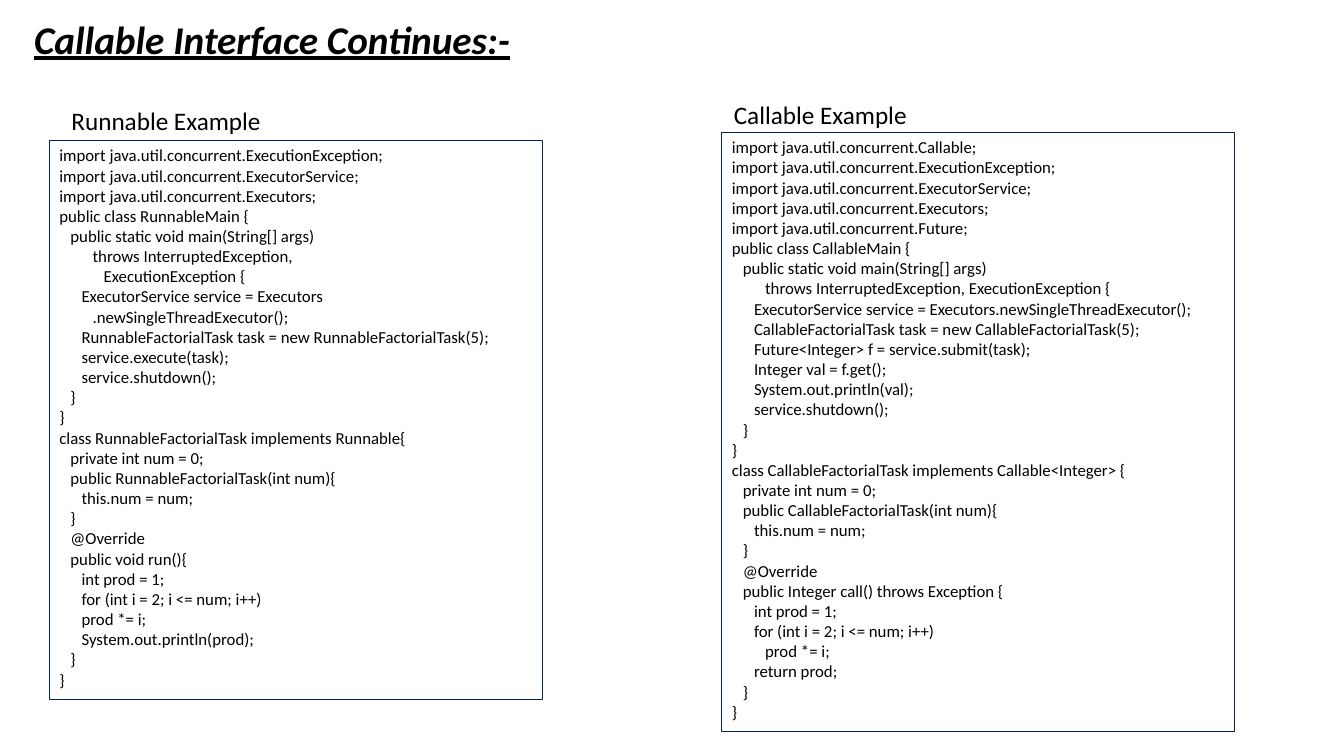
from pptx import Presentation
from pptx import util as u
from pptx.dml.color import RGBColor
from pptx.enum import shapes, text

BLACK = RGBColor(0x00, 0x00, 0x00)
NAVY = RGBColor(0x00, 0x20, 0x60)

CODE = {"size": u.Pt(12), "name": "Calibri"}
LABEL = {"size": u.Pt(18), "name": "Calibri"}
TITLE = {"size": u.Pt(28), "name": "Calibri",
         "bold": True, "italic": True, "underline": True}

TAB = 3            # spaces per code level
LEVEL = 0.11       # inches per code level
LINE = 0.2         # inches per code line
PAD = 0.15         # top and bottom insets together

RUNNABLE_MAIN = """\
import java.util.concurrent.ExecutionException;
import java.util.concurrent.ExecutorService;
import java.util.concurrent.Executors;
public class RunnableMain {
   public static void main(String[] args)
         throws InterruptedException,
            ExecutionException {
      ExecutorService service = Executors
         .newSingleThreadExecutor();
      RunnableFactorialTask task = new RunnableFactorialTask(5);
      service.execute(task);
      service.shutdown();
   }
}"""

CALLABLE_MAIN = """\
import java.util.concurrent.Callable;
import java.util.concurrent.ExecutionException;
import java.util.concurrent.ExecutorService;
import java.util.concurrent.Executors;
import java.util.concurrent.Future;
public class CallableMain {
   public static void main(String[] args)
         throws InterruptedException, ExecutionException {
      ExecutorService service = Executors.newSingleThreadExecutor();
      CallableFactorialTask task = new CallableFactorialTask(5);
      Future<Integer> f = service.submit(task);
      Integer val = f.get();
      System.out.println(val);
      service.shutdown();
   }
}"""

# Factorial task class shared by both listings
TASK = """\
class {kind}FactorialTask implements {parent}{{
   private int num = 0;
   public {kind}FactorialTask(int num){{
      this.num = num;
   }}
   @Override
   public {method}{{
      int prod = 1;
      for (int i = 2; i <= num; i++)
{step}
      {result}
   }}
}}"""

RUNNABLE_TASK = TASK.format(
    kind="Runnable", parent="Runnable", method="void run()",
    step="      prod *= i;", result="System.out.println(prod);")
CALLABLE_TASK = TASK.format(
    kind="Callable", parent="Callable<Integer> ",
    method="Integer call() throws Exception ",
    step="         prod *= i;", result="return prod;")


def write(tf, lines, fmt):
    """Fill a text frame, turning leading spaces into paragraph indents."""
    tf.word_wrap = True
    tf.auto_size = text.MSO_AUTO_SIZE.SHAPE_TO_FIT_TEXT
    for i, line in enumerate(lines):
        p = tf.paragraphs[0] if i == 0 else tf.add_paragraph()
        p.alignment = text.PP_ALIGN.LEFT
        words = line.lstrip()
        depth = (len(line) - len(words)) // TAB
        if depth:
            p._p.get_or_add_pPr().set("marL", str(u.Inches(depth * LEVEL)))
        r = p.add_run()
        r.text = words
        r.font.color.rgb = BLACK
        for key, value in fmt.items():
            setattr(r.font, key, value)


def add_text(s, x, y, w, h, words, fmt):
    sp = s.shapes.add_textbox(*map(u.Inches, (x, y, w, h)))
    write(sp.text_frame, [words], fmt)


def add_example(s, x, y, w, label, label_dx, label_dy, *parts):
    """A framed code listing with its label above the frame."""
    lines = [line for part in parts for line in part.splitlines()]
    h = len(lines) * LINE + PAD
    sp = s.shapes.add_shape(shapes.MSO_SHAPE.RECTANGLE,
                            *map(u.Inches, (x, y, w, h)))
    sp.shadow.inherit = False
    sp.fill.background()
    sp.line.color.rgb = NAVY
    sp.line.width = u.Pt(0.75)
    sp.text_frame.vertical_anchor = text.MSO_ANCHOR.TOP
    write(sp.text_frame, lines, CODE)
    add_text(s, x + label_dx, y + label_dy, 4.57, 0.4, label, LABEL)


prs = Presentation()
prs.slide_width, prs.slide_height = u.Inches(13.33), u.Inches(7.5)
s = prs.slides.add_slide(prs.slide_layouts[6])

# Title
add_text(s, 0.24, 0.1, 5.59, 0.57, "Callable Interface Continues:-", TITLE)

# Code examples side by side
add_example(s, 0.49, 1.39, 4.89, "Runnable Example", 0.12, -0.39,
            RUNNABLE_MAIN, RUNNABLE_TASK)
add_example(s, 7.16, 1.31, 5.08, "Callable Example", 0.02, -0.37,
            CALLABLE_MAIN, CALLABLE_TASK)

prs.save("out.pptx")
